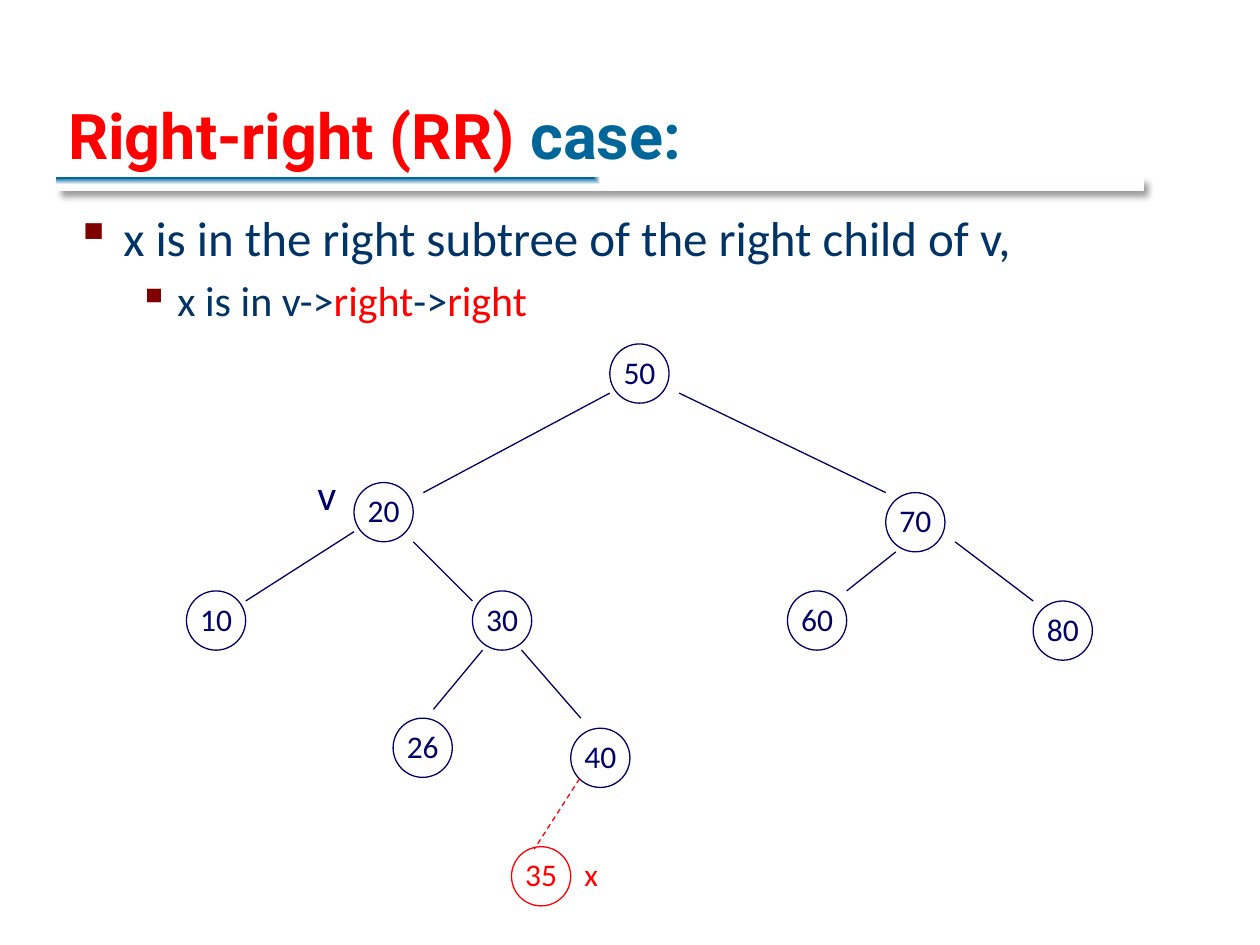
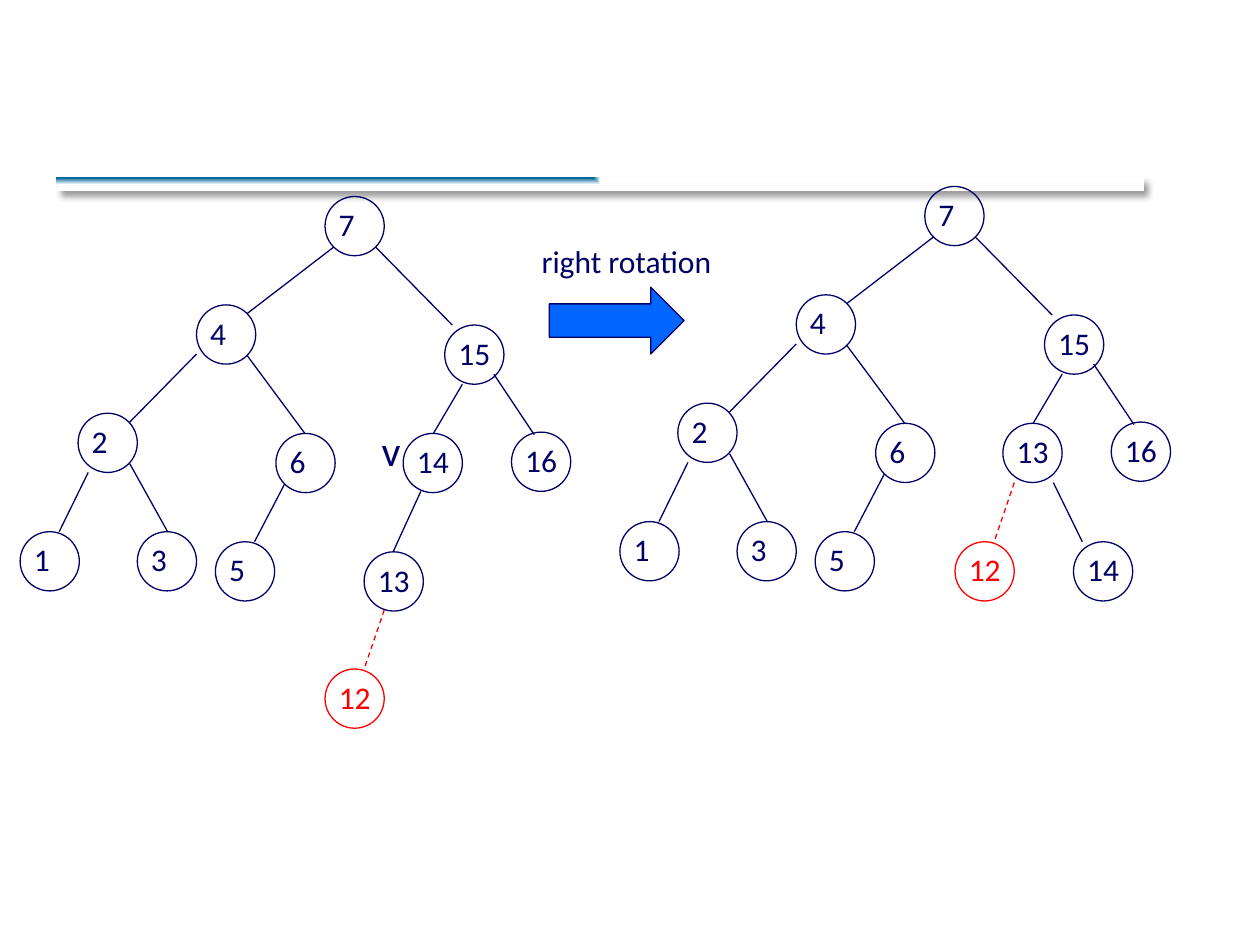
import pptx
import pptx.dml.color
import pptx.enum.dml
import pptx.enum.shapes
import pptx.enum.text
import pptx.oxml
import pptx.oxml.ns
import pptx.util

Inches = pptx.util.Inches
Pt = pptx.util.Pt
RGBColor = pptx.dml.color.RGBColor
MSO_SHAPE = pptx.enum.shapes.MSO_SHAPE

NAVY = RGBColor(0x00, 0x00, 0x66)
RED = RGBColor(0xFF, 0x00, 0x00)
TEAL = RGBColor(0x00, 0x66, 0x99)
INK = RGBColor(0x00, 0x33, 0x66)
MAROON = RGBColor(0x80, 0x00, 0x00)
BLUE = RGBColor(0x00, 0x66, 0xFF)

TITLE_ONLY, BLANK = 5, 6
NODE_SIZE = 0.47
LABEL_WIDTH = {1: 0.33, 2: 0.45}  # by number of digits


def drawing_xml(tag, inner="", attrs=""):
    ns = pptx.oxml.ns.nsdecls("a")
    return pptx.oxml.parse_xml(f"<a:{tag} {ns} {attrs}>{inner}</a:{tag}>")


def add_run(p, text, size=18, color=NAVY, font="Calibri", bold=False):
    r = p.add_run()
    r.text = text
    r.font.size = Pt(size)
    r.font.name = font
    r.font.bold = bold
    r.font.color.rgb = color


class Deck:
    def __init__(self):
        self.prs = pptx.Presentation()
        self.prs.slide_width, self.prs.slide_height = Inches(10), Inches(7.5)
        self.s = None

    def new_slide(self, layout):
        self.s = self.prs.slides.add_slide(self.prs.slide_layouts[layout])
        self.rule()

    def rule(self):
        """Soft shadowed band below the title area."""
        bar = self.shape(MSO_SHAPE.RECTANGLE, 0.45, 1.41, 8.63, 0.11)
        bar.line.fill.background()
        sp_pr = bar._element.spPr
        sp_pr.remove(sp_pr.find(pptx.oxml.ns.qn("a:noFill")))
        sp_pr.insert(2, drawing_xml(
            "gradFill",
            f'<a:gsLst><a:gs pos="0"><a:srgbClr val="{TEAL}"/></a:gs>'
            '<a:gs pos="100000"><a:srgbClr val="FFFFFF"/></a:gs></a:gsLst>'
            '<a:path path="rect"><a:fillToRect r="100000" b="100000"/></a:path>'))
        sp_pr.remove(sp_pr.find(pptx.oxml.ns.qn("a:effectLst")))
        sp_pr.append(drawing_xml(
            "effectLst",
            '<a:outerShdw blurRad="50800" dist="38100" dir="2700000" '
            'algn="tl" rotWithShape="0"><a:srgbClr val="000000">'
            '<a:alpha val="40000"/></a:srgbClr></a:outerShdw>'))

    def title(self, *runs):
        sp = self.s.shapes.title
        sp.left, sp.top, sp.width, sp.height = map(Inches, (0.44, 0.17, 8.5, 1.25))
        sp.text_frame.vertical_anchor = pptx.enum.text.MSO_ANCHOR.BOTTOM
        p = sp.text_frame.paragraphs[0]
        p.alignment = pptx.enum.text.PP_ALIGN.LEFT
        for text, color in runs:
            add_run(p, text, size=36, color=color, font="Roboto", bold=True)

    def bullets(self, x, y, w, h, items):
        """Items are (level, size, indent, hang, runs)."""
        tf = self.s.shapes.add_textbox(*map(Inches, (x, y, w, h))).text_frame
        tf.word_wrap = True
        for i, (level, size, indent, hang, runs) in enumerate(items):
            p = tf.add_paragraph() if i else tf.paragraphs[0]
            p.level = level
            if i:
                p.space_before = Pt(0.2 * size)
            p_pr = p._p.get_or_add_pPr()
            p_pr.set("marL", str(Inches(indent)))
            p_pr.set("indent", str(-Inches(hang)))
            p_pr.append(drawing_xml("buClr", f'<a:srgbClr val="{MAROON}"/>'))
            p_pr.append(drawing_xml("buChar", attrs='char="▪"'))
            for text, color in runs:
                add_run(p, text, size=size, color=color)

    def shape(self, kind, x, y, w, h, fill=None, line=NAVY, shapes=None):
        shapes = self.s.shapes if shapes is None else shapes
        sp = shapes.add_shape(kind, *map(Inches, (x, y, w, h)))
        sp.shadow.inherit = False
        if fill is None:
            sp.fill.background()
        else:
            sp.fill.solid()
            sp.fill.fore_color.rgb = fill
        sp.line.color.rgb = line
        sp.line.width = Pt(0.75)
        return sp

    def label(self, text, x, y, w, h=0.4, shapes=None, **fmt):
        shapes = self.s.shapes if shapes is None else shapes
        tf = shapes.add_textbox(*map(Inches, (x, y, w, h))).text_frame
        tf.word_wrap = False
        tf.auto_size = pptx.enum.text.MSO_AUTO_SIZE.SHAPE_TO_FIT_TEXT
        add_run(tf.paragraphs[0], text, **fmt)

    def node(self, key, x, y, color=NAVY):
        shapes = self.s.shapes.add_group_shape().shapes
        self.shape(MSO_SHAPE.OVAL, x, y, NODE_SIZE, NODE_SIZE, line=color, shapes=shapes)
        text = str(key)
        self.label(text, x + 0.01, y + 0.02, LABEL_WIDTH[len(text)], shapes=shapes, color=color)

    def edge(self, x1, y1, x2, y2, color=NAVY, dashed=False):
        c = self.s.shapes.add_connector(
            pptx.enum.shapes.MSO_CONNECTOR.STRAIGHT, *map(Inches, (x1, y1, x2, y2)))
        c.line.color.rgb = color
        c.line.width = Pt(0.75)
        if dashed:
            c.line.dash_style = pptx.enum.dml.MSO_LINE.DASH
        c._element.spPr.append(drawing_xml("effectLst"))

    def tree(self, nodes, edges, dx=0, dy=0):
        for x1, y1, x2, y2 in edges:
            self.edge(x1 + dx, y1 + dy, x2 + dx, y2 + dy)
        for key, x, y in nodes:
            self.node(key, x + dx, y + dy)

    def inserted(self, key, x, y, edge):
        """New node in red, hung on a dashed edge."""
        self.edge(*edge, color=RED, dashed=True)
        self.node(key, x, y, RED)


def rr_case(d):
    d.new_slide(TITLE_ONLY)
    d.title(("Right-right (RR)", RED), (" case:", TEAL))
    d.bullets(0.5, 1.6, 8.95, 1.06, [
        (0, 28, 0.38, 0.38, [("x is in the right subtree of the right child of v,", INK)]),
        (1, 24, 0.81, 0.31, [("x is in v->", INK), ("right", RED), ("->", INK), ("right", RED)]),
    ])
    d.tree(
        [(50, 4.84, 2.73), (20, 2.81, 3.83), (70, 7.03, 3.91), (10, 1.48, 4.69),
         (30, 3.75, 4.69), (60, 6.25, 4.69), (80, 8.2, 4.77), (26, 3.12, 5.7),
         (40, 4.53, 5.78)],
        [(4.84, 3.12, 3.36, 3.91), (5.39, 3.12, 7.03, 3.91), (7.11, 4.38, 6.72, 4.69),
         (7.58, 4.3, 8.2, 4.77), (2.81, 4.22, 1.95, 4.77), (3.28, 4.3, 3.75, 4.77),
         (3.83, 5.16, 3.44, 5.63), (4.14, 5.16, 4.61, 5.7)])
    d.inserted(35, 4.06, 6.72, (4.6, 6.18, 4.24, 6.74))
    d.label("v", 2.42, 3.67, 0.35, 0.5, size=24)
    d.label("x", 4.54, 6.74, 0.33, color=RED)


def right_rotation(d):
    d.new_slide(BLANK)
    kept_nodes = [
        (7, 2.58, 1.56), (4, 1.56, 2.42), (15, 3.53, 2.58), (2, 0.62, 3.28), (6, 2.19, 3.44),
        (16, 4.06, 3.43), (1, 0.16, 4.22), (3, 1.09, 4.22), (5, 1.71, 4.3)]
    kept_edges = [
        (2.65, 1.96, 1.96, 2.49), (2.98, 1.96, 3.59, 2.58), (1.03, 3.35, 1.56, 2.81),
        (1.96, 2.82, 2.42, 3.44), (3.44, 3.44, 3.67, 3.05), (3.92, 2.97, 4.24, 3.45),
        (0.7, 3.75, 0.47, 4.22), (1.03, 3.68, 1.33, 4.22), (2.02, 4.3, 2.26, 3.84)]
    pivot = (3.2, 3.44)
    after = {"dx": 4.76, "dy": -0.08}

    d.tree(kept_nodes + [(14, *pivot), (13, 2.89, 4.38)],
           kept_edges + [(3.12, 4.38, 3.34, 3.9)])
    d.inserted(12, 2.58, 5.31, (3.05, 4.84, 2.89, 5.31))
    d.label("v", 2.93, 3.32, 0.35, 0.5, size=24)

    d.tree(kept_nodes + [(13, *pivot), (14, 3.76, 4.38)],
           kept_edges + [(3.6, 3.91, 3.83, 4.38)], **after)
    d.inserted(12, 7.58, 4.3, (8.05, 3.83, 7.89, 4.3))

    d.shape(MSO_SHAPE.RIGHT_ARROW, 4.36, 2.28, 1.07, 0.53, fill=BLUE)
    d.label("right rotation", 4.2, 1.87, 1.57)


def main():
    d = Deck()
    rr_case(d)
    right_rotation(d)
    d.prs.save("out.pptx")


if __name__ == "__main__":
    main()
